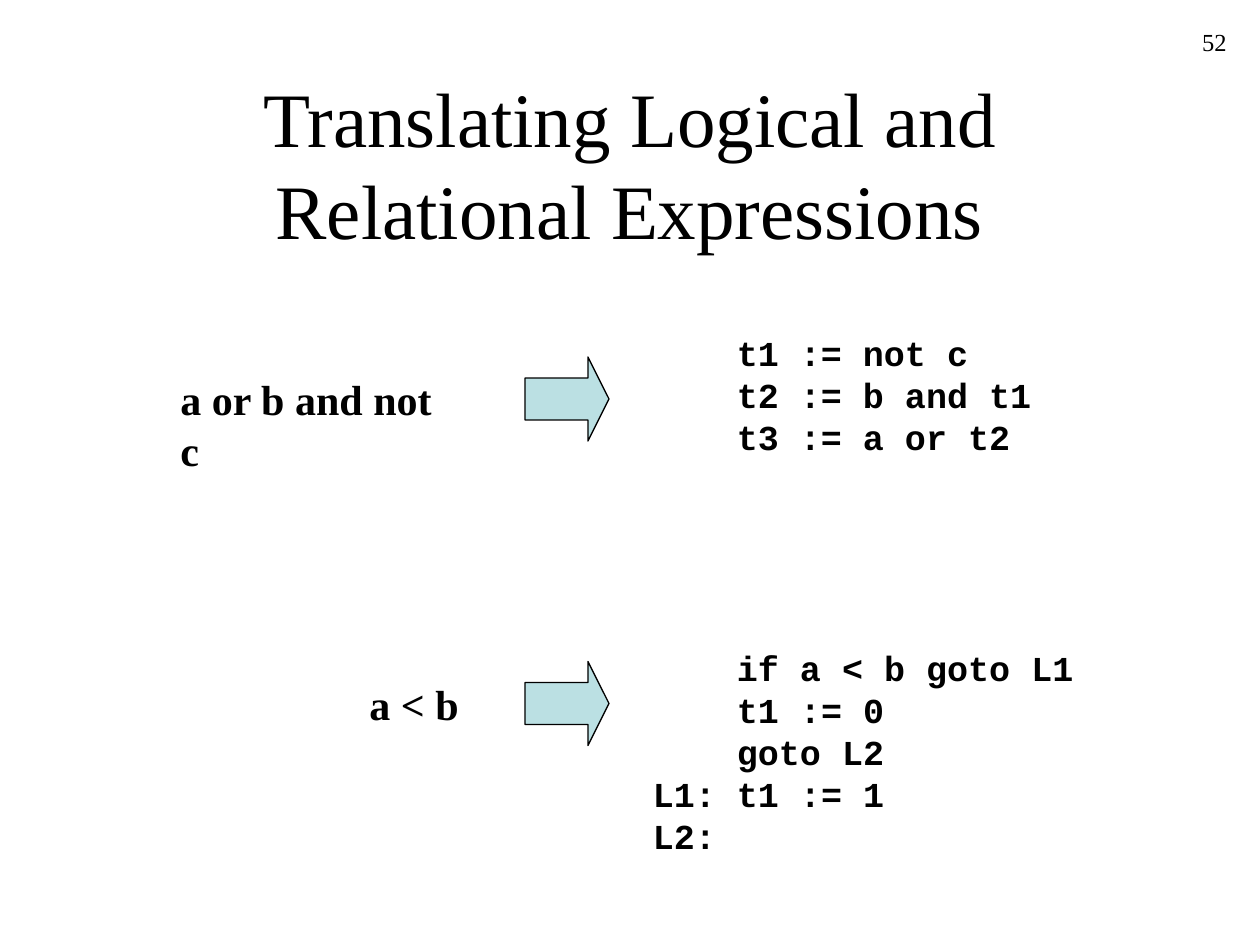
from pptx import Presentation
from pptx import util as u
from pptx.dml.color import RGBColor
from pptx.enum import shapes, text

COLUMNS, ROWS = 120, 90
CELL = u.Inches(10) // COLUMNS
SERIF, MONO = "Times New Roman", "Courier New"


def color(hex_string):
    return RGBColor.from_string(hex_string)


def grid(*cells):
    return [round(cell * CELL) for cell in cells]


def add_text(slide, box, content, align=text.PP_ALIGN.LEFT,
             anchor=text.MSO_ANCHOR.TOP, wrap=True, **font):
    frame = slide.shapes.add_textbox(*grid(*box)).text_frame
    frame.word_wrap = wrap
    frame.vertical_anchor = anchor
    if not wrap:
        frame.auto_size = text.MSO_AUTO_SIZE.SHAPE_TO_FIT_TEXT
    paragraph = frame.paragraphs[0]
    paragraph.text = content.replace("\n", "\v")
    paragraph.alignment = align
    for run in paragraph.runs:
        for attribute, value in font.items():
            setattr(run.font, attribute, value)
        run.font.color.rgb = color("000000")


def add_arrow(slide, box):
    arrow = slide.shapes.add_shape(shapes.MSO_SHAPE.RIGHT_ARROW, *grid(*box))
    arrow.adjustments[0], arrow.adjustments[1] = 0.5, 0.25
    arrow.shadow.inherit = False
    arrow.fill.solid()
    arrow.fill.fore_color.rgb = color("BBE0E3")
    arrow.line.color.rgb = color("000000")
    arrow.line.width = u.Pt(0.75)


def add_translation(slide, box, expression, expression_width, code, code_offset, code_width):
    """Expression, arrow and three-address code; the arrow is centred on the box height."""
    left, top, width, height = box
    arrow_size, arrow_left = 8, left + 34
    arrow_top = top + (height - arrow_size) / 2
    expression_right = arrow_left - 5
    add_text(slide, (expression_right - expression_width, arrow_top + 1, expression_width, 6),
             expression, wrap=False, name=SERIF, size=u.Pt(24), bold=True)
    add_arrow(slide, (arrow_left, arrow_top, arrow_size, arrow_size))
    code_height = 4 * len(code.split("\n")) + 1.2
    add_text(slide, (left + code_offset, top, code_width, code_height),
             code, wrap=False, name=MONO, size=u.Pt(20), bold=True)


def add_heading(slide, box, title):
    add_text(slide, box, title, text.PP_ALIGN.CENTER, text.MSO_ANCHOR.MIDDLE,
             name=SERIF, size=u.Pt(44))


def add_page_number(slide, box, number):
    add_text(slide, box, number, text.PP_ALIGN.RIGHT, name=SERIF, size=u.Pt(14))


LOGICAL_CODE = """t1 := not c
t2 := b and t1
t3 := a or t2"""

RELATIONAL_CODE = """    if a < b goto L1
    t1 := 0
    goto L2
L1: t1 := 1
L2:"""


def main():
    deck = Presentation()
    deck.slide_width, deck.slide_height = grid(COLUMNS, ROWS)
    slide = deck.slides.add_slide(deck.slide_layouts[6])
    add_page_number(slide, (93, 2, 25, 6), "52")
    add_heading(slide, (9, 8, 102, 15), "Translating Logical and Relational Expressions")
    add_translation(slide, (16, 31, 88, 14), "a or b and not c", 29, LOGICAL_CODE, 53, 30.5)
    add_translation(slide, (16, 61, 88, 12), "a < b", 11, RELATIONAL_CODE, 45, 42.5)
    deck.save("out.pptx")


if __name__ == "__main__":
    main()
